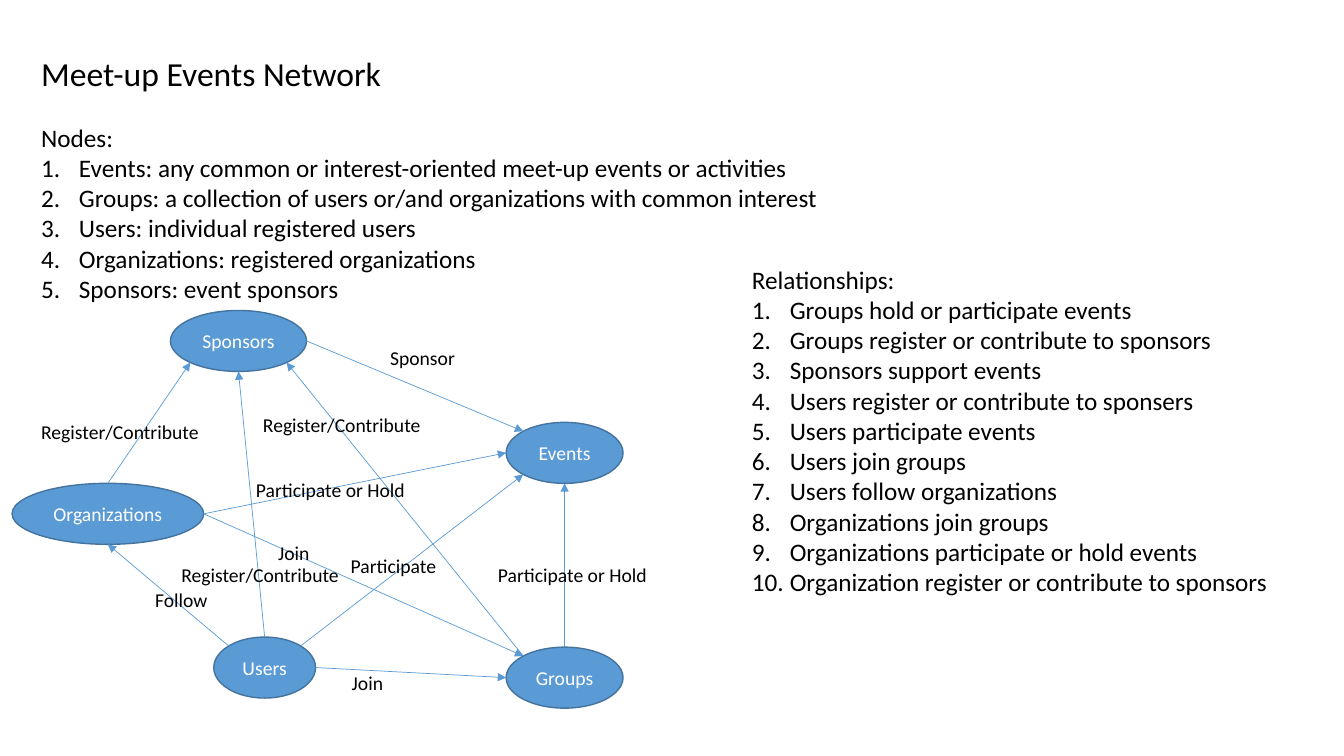
import dataclasses
import enum
import math

import pptx
import pptx.dml.color
import pptx.enum.shapes
import pptx.enum.text
import pptx.oxml
import pptx.oxml.ns
import pptx.util

RGBColor = pptx.dml.color.RGBColor
BLACK = RGBColor(0x00, 0x00, 0x00)
WHITE = RGBColor(0xFF, 0xFF, 0xFF)
NODE_FILL = RGBColor(0x5B, 0x9B, 0xD5)
NODE_LINE = RGBColor(0x43, 0x73, 0x9E)
FONT = "Calibri"

# Square grid: 75 rows fill the slide's height, about 133 columns its width
SLIDE_WIDTH = pptx.util.Inches(13.33)
SLIDE_HEIGHT = pptx.util.Inches(7.5)
CELL = SLIDE_HEIGHT / 75
NODE_ROWS = 6.05
LABEL_ROWS = 3.4
LIST_INDENT = 3.75
DIAGONAL = math.sqrt(0.5)


class Site(enum.Enum):
    """Where an arrow meets an ellipse, as shares of its two radii."""
    TOP = (0, -1)
    BOTTOM = (0, 1)
    LEFT = (-1, 0)
    RIGHT = (1, 0)
    TOP_LEFT = (-DIAGONAL, -DIAGONAL)
    TOP_RIGHT = (DIAGONAL, -DIAGONAL)
    BOTTOM_LEFT = (-DIAGONAL, DIAGONAL)
    BOTTOM_RIGHT = (DIAGONAL, DIAGONAL)


@dataclasses.dataclass(frozen=True)
class Node:
    name: str
    column: float
    row: float
    columns: float

    def point(self, site: Site) -> tuple[int, int]:
        across, down = site.value
        return (grid(self.column + self.columns / 2 * (1 + across)),
                grid(self.row + NODE_ROWS / 2 * (1 + down)))


@dataclasses.dataclass(frozen=True)
class Arrow:
    source: Node
    source_site: Site
    target: Node
    target_site: Site


@dataclasses.dataclass(frozen=True)
class Label:
    text: str
    column: float
    row: float
    columns: float


@dataclasses.dataclass(frozen=True)
class NumberedList:
    heading: str
    items: tuple[str, ...]
    column: float
    row: float
    columns: float
    rows: float


USERS = Node("Users", 21.2, 63.2, 10.1)
EVENTS = Node("Events", 50.2, 41.9, 11.6)
GROUPS = Node("Groups", 50.2, 64.2, 11.6)
ORGANIZATIONS = Node("Organizations", 1.2, 47.95, 19)
SPONSORS = Node("Sponsors", 16.9, 30.8, 13.5)
NODES = (USERS, EVENTS, GROUPS, ORGANIZATIONS, SPONSORS)

ARROWS = (
    Arrow(ORGANIZATIONS, Site.TOP, SPONSORS, Site.BOTTOM_LEFT),
    Arrow(USERS, Site.TOP, SPONSORS, Site.BOTTOM),
    Arrow(USERS, Site.TOP_LEFT, ORGANIZATIONS, Site.BOTTOM),
    Arrow(USERS, Site.TOP_RIGHT, EVENTS, Site.BOTTOM_LEFT),
    Arrow(GROUPS, Site.TOP, EVENTS, Site.BOTTOM),
    Arrow(GROUPS, Site.TOP_LEFT, SPONSORS, Site.BOTTOM_RIGHT),
    Arrow(USERS, Site.RIGHT, GROUPS, Site.LEFT),
    Arrow(ORGANIZATIONS, Site.RIGHT, GROUPS, Site.TOP_LEFT),
    Arrow(ORGANIZATIONS, Site.RIGHT, EVENTS, Site.LEFT),
    Arrow(SPONSORS, Site.RIGHT, EVENTS, Site.TOP_LEFT),
)

LABELS = (
    Label("Participate or Hold", 48.4, 55.4, 16.8),
    Label("Sponsor", 37.7, 33.8, 9.3),
    Label("Participate", 33.8, 54.5, 11.3),
    Label("Participate or Hold", 24.4, 46.9, 17.2),
    Label("Join", 33.9, 66.1, 11.3),
    Label("Join", 26.6, 53.2, 11.3),
    Label("Register/Contribute", 3.1, 41.2, 19),
    Label("Follow", 14.4, 57.8, 9.3),
    Label("Register/Contribute", 17, 55.4, 19),
    Label("Register/Contribute", 25.1, 40.5, 19),
)

LISTS = (
    NumberedList("Nodes:", (
        "Events: any common or interest-oriented meet-up events or activities",
        "Groups: a collection of users or/and organizations with common interest",
        "Users: individual registered users",
        "Organizations: registered organizations",
        "Sponsors: event sponsors",
    ), 3.1, 11.6, 80, 19.2),
    NumberedList("Relationships:", (
        "Groups hold or participate events",
        "Groups register or contribute to sponsors",
        "Sponsors support events",
        "Users register or contribute to sponsers",
        "Users participate events",
        "Users join groups",
        "Users follow organizations",
        "Organizations join groups",
        "Organizations participate or hold events",
        "Organization register or contribute to sponsors",
    ), 73.6, 25.7, 53.4, 37.4),
)


def grid(cells: float) -> int:
    return round(cells * CELL)


def add_run(paragraph, text: str, size: float, color: RGBColor) -> None:
    run = paragraph.add_run()
    run.text = text
    run.font.name = FONT
    run.font.size = pptx.util.Pt(size)
    run.font.color.rgb = color


def add_text_box(slide, column: float, row: float, columns: float, rows: float):
    box = slide.shapes.add_textbox(grid(column), grid(row), grid(columns), grid(rows))
    box.text_frame.word_wrap = True
    return box.text_frame


def add_node(slide, node: Node) -> None:
    shape = slide.shapes.add_shape(
        pptx.enum.shapes.MSO_SHAPE.OVAL, grid(node.column), grid(node.row),
        grid(node.columns), grid(NODE_ROWS))
    shape.shadow.inherit = False
    shape.fill.solid()
    shape.fill.fore_color.rgb = NODE_FILL
    shape.line.color.rgb = NODE_LINE
    shape.line.width = pptx.util.Pt(1)
    frame = shape.text_frame
    frame.word_wrap = True
    frame.vertical_anchor = pptx.enum.text.MSO_ANCHOR.MIDDLE
    frame.margin_left = frame.margin_right = 0
    frame.paragraphs[0].alignment = pptx.enum.text.PP_ALIGN.CENTER
    add_run(frame.paragraphs[0], node.name, 14, WHITE)


def add_arrow(slide, arrow: Arrow) -> None:
    connector = slide.shapes.add_connector(
        pptx.enum.shapes.MSO_CONNECTOR.STRAIGHT,
        *arrow.source.point(arrow.source_site), *arrow.target.point(arrow.target_site))
    connector.line.color.rgb = NODE_FILL
    connector.line.width = pptx.util.Pt(0.5)
    line = connector.line._get_or_add_ln()
    pptx.oxml.ns.qn("a:tailEnd")
    line.append(line.makeelement(pptx.oxml.ns.qn("a:tailEnd"), {"type": "triangle"}))
    properties = connector._element.spPr
    properties.append(properties.makeelement(pptx.oxml.ns.qn("a:effectLst"), {}))


def add_numbered_list(slide, block: NumberedList) -> None:
    frame = add_text_box(slide, block.column, block.row, block.columns, block.rows)
    add_run(frame.paragraphs[0], block.heading, 18, BLACK)
    for item in block.items:
        paragraph = frame.add_paragraph()
        add_run(paragraph, item, 18, BLACK)
        properties = paragraph._p.get_or_add_pPr()
        properties.set("marL", str(grid(LIST_INDENT)))
        properties.set("indent", str(-grid(LIST_INDENT)))
        properties.append(properties.makeelement(
            pptx.oxml.ns.qn("a:buAutoNum"), {"type": "arabicPeriod"}))


def main() -> None:
    presentation = pptx.Presentation()
    presentation.slide_width = SLIDE_WIDTH
    presentation.slide_height = SLIDE_HEIGHT
    slide = presentation.slides.add_slide(presentation.slide_layouts[6])

    # Title
    title = add_text_box(slide, 3.1, 4.8, 128.2, 5)
    add_run(title.paragraphs[0], "Meet-up Events Network", 24, BLACK)

    # Network diagram
    for node in NODES:
        add_node(slide, node)
    for arrow in ARROWS:
        add_arrow(slide, arrow)
    for label in LABELS:
        frame = add_text_box(slide, label.column, label.row, label.columns, LABEL_ROWS)
        add_run(frame.paragraphs[0], label.text, 14, BLACK)

    # Numbered lists
    for block in LISTS:
        add_numbered_list(slide, block)

    presentation.save("out.pptx")


if __name__ == "__main__":
    main()
